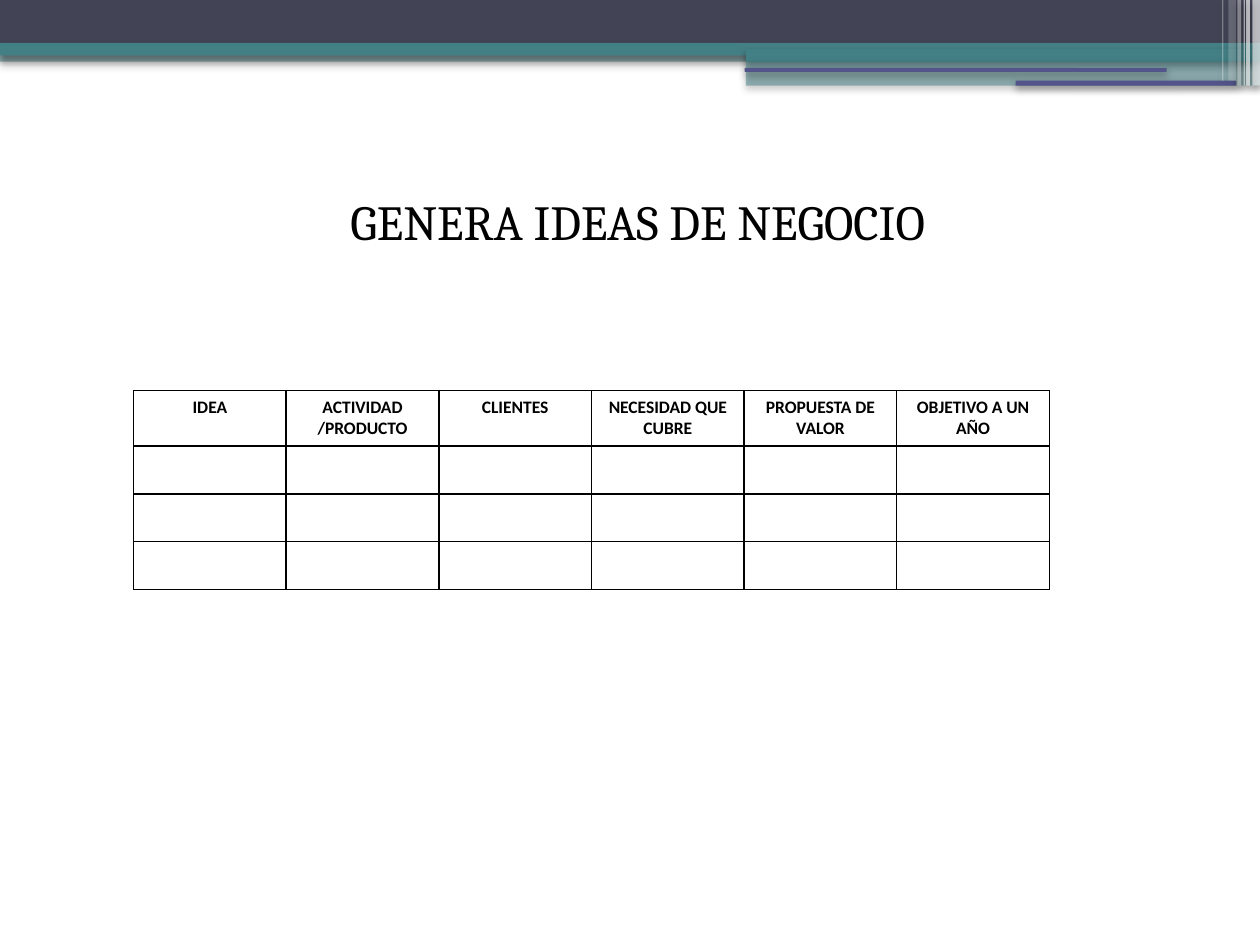
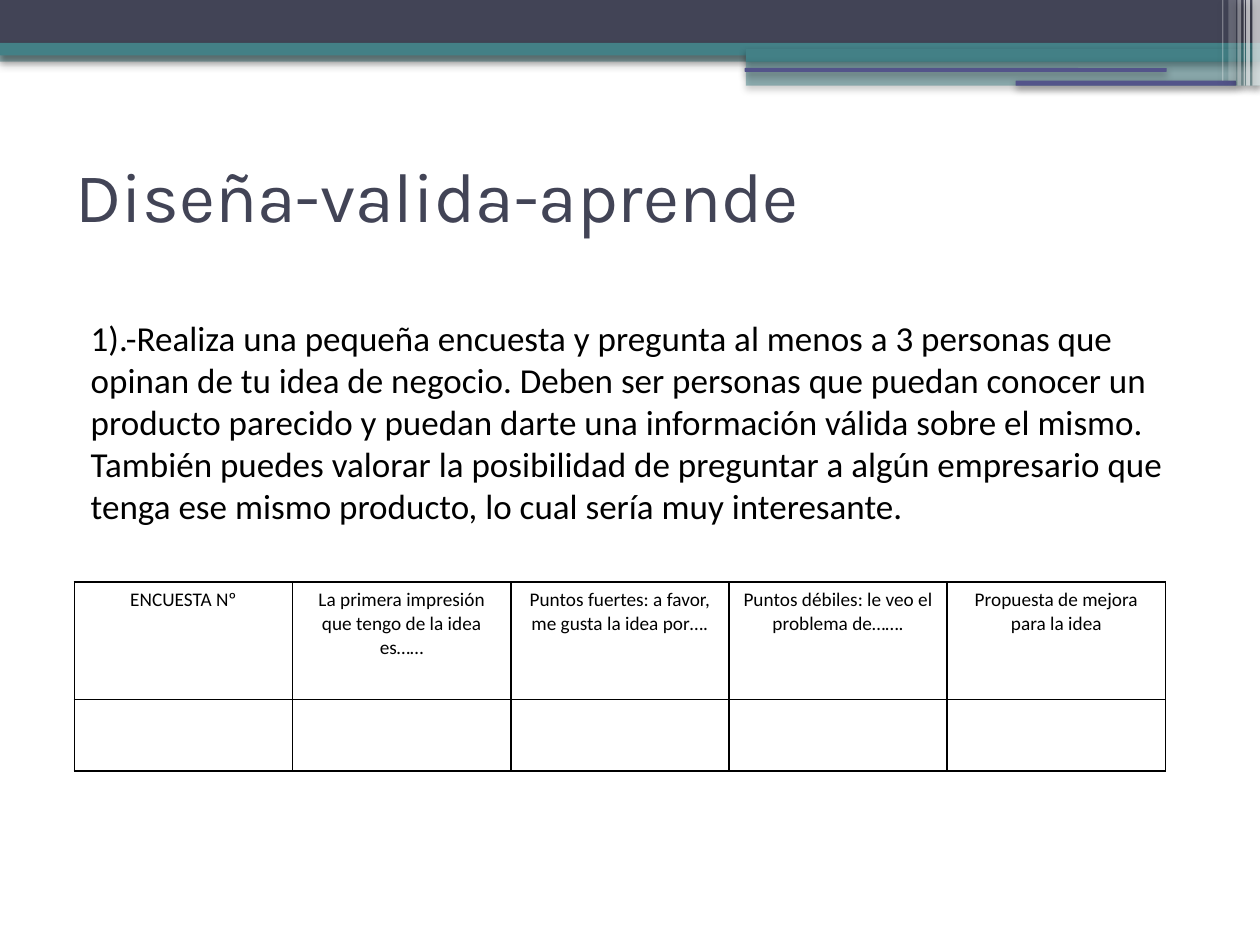
"""Build two worksheet slides on generating and validating business ideas."""
from lxml import etree
from pptx import Presentation, oxml, util as u
from pptx.dml.color import RGBColor
from pptx.enum import shapes, text
from pptx.oxml import ns

COLORS = {"navy": "424456", "teal": "438086", "violet": "53548A",
          "white": "FFFFFF", "black": "000000"}
W, H = 10, 7.5
MARGIN = 0.05 * W
PANEL = 5.92

BANDS = [
    (0, 0.4, W, 0.09, "teal", 50),
    (0, 0, W, 0.34, "navy", 100),
    (0, 0.34, W, 0.1, "teal", 100),
    (PANEL, 0.39, W - PANEL, 0.1, "teal", 100),
    (PANEL, 0.48, W - PANEL, 0.2, "teal", 50),
]
RULES = [
    (5.91, 0.54, 3.35, 0.03, "violet", 100),
    (8.06, 0.64, 1.75, 0.04, "violet", 100),
]
STRIPES = [
    (9.94, 0, 0.06, 0.68, "white", 66),
    (9.89, 0, 0.03, 0.68, "white", 66),
    (9.87, 0, 0.01, 0.68, "white", 60),
    (9.82, 0, 0.03, 0.68, "white", 40),
    (9.75, 0, 0.06, 0.64, "white", 20),
    (9.7, 0, 0.01, 0.64, "white", 31),
]
SHADOW = (
    '<a:outerShdw %s blurRad="52070" dist="25400" dir="5400000" rotWithShape="0">'
    '<a:srgbClr val="%s"><a:alpha val="40000"/></a:srgbClr></a:outerShdw>'
    % (ns.nsdecls("a"), COLORS["black"]))

SLIDES = [
    {
        "body": "GENERA IDEAS DE NEGOCIO",
        "body_top": 1.47, "body_height": 5.72,
        "body_font": ("Cambria", 28), "align": text.PP_ALIGN.CENTER,
        "heads": ["IDEA", "ACTIVIDAD\n/PRODUCTO", "CLIENTES",
                  "NECESIDAD QUE CUBRE", "PROPUESTA DE VALOR",
                  "OBJETIVO A UN AÑO"],
        "table_at": (1.06, 3.1), "table_width": 7.27,
        "rows": [0.44] + [0.38] * 3, "size": 10, "bold": True,
    },
    {
        "title": "Diseña-valida-aprende",
        "body": "1).-Realiza una pequeña encuesta y pregunta al menos a 3 "
                "personas que opinan de tu idea de negocio. Deben ser personas "
                "que puedan conocer un producto parecido y puedan darte una "
                "información válida sobre el mismo. También puedes valorar la "
                "posibilidad de preguntar a algún empresario que tenga ese "
                "mismo producto, lo cual sería muy interesante.",
        "body_top": 2.46, "body_height": 4.73,
        "body_font": ("Calibri", 20), "align": text.PP_ALIGN.LEFT,
        "heads": ["ENCUESTA Nº",
                  "La primera impresión que tengo de la idea es……",
                  "Puntos fuertes: a favor, me gusta la idea por….",
                  "Puntos débiles: le veo el problema de…….",
                  "Propuesta de mejora para la idea"],
        "table_at": (0.59, 4.62), "table_width": 8.66,
        "rows": [0.93, 0.57], "size": 11, "bold": False,
    },
]


def rgb(name):
    return RGBColor.from_string(COLORS[name])


def add_run(p, words, font, size, color, bold=False):
    r = p.add_run()
    r.text = words
    r.font.name, r.font.size, r.font.bold = font, u.Pt(size), bold
    r.font.color.rgb = rgb(color)


def place(sp, left, top, width, height):
    sp.left, sp.top = u.Inches(left), u.Inches(top)
    sp.width, sp.height = u.Inches(width), u.Inches(height)


def add_bar(s, kind, left, top, width, height, color, opacity):
    sp = s.shapes.add_shape(kind, *map(u.Inches, (left, top, width, height)))
    sp.fill.solid()
    sp.fill.fore_color.rgb = rgb(color)
    sp.line.fill.background()
    sp.shadow.inherit = False
    sp.element.xpath("./p:spPr/a:effectLst")[0].append(oxml.parse_xml(SHADOW))
    if opacity < 100:
        clr = sp.element.xpath("./p:spPr/a:solidFill/a:srgbClr")[0]
        etree.SubElement(clr, ns.qn("a:alpha"), val=str(opacity * 1000))
    return sp


def decorate_master(prs, s):
    rect, rounded = shapes.MSO_SHAPE.RECTANGLE, shapes.MSO_SHAPE.ROUNDED_RECTANGLE
    groups = [(rect, BANDS), (rounded, RULES), (rect, STRIPES)]
    bars = [add_bar(s, kind, *bar) for kind, group in groups for bar in group]
    for i, sp in enumerate(bars):
        sp.element.xpath(".//p:cNvPr")[0].set("id", str(100 + i))
        prs.slide_master.shapes.element.insert(2 + i, sp.element)


def fill_title(s, words):
    sp = s.shapes.title
    if not words:
        sp.element.getparent().remove(sp.element)
        return
    place(sp, MARGIN, 0.99, W - 2 * MARGIN, 1.1)
    tf = sp.text_frame
    tf.auto_size = text.MSO_AUTO_SIZE.NONE
    tf.vertical_anchor = text.MSO_ANCHOR.MIDDLE
    p = tf.paragraphs[0]
    p.alignment = text.PP_ALIGN.LEFT
    add_run(p, words, "Karla", 40, "navy")


def fill_body(s, page):
    sp = s.placeholders[1]
    place(sp, MARGIN, page["body_top"], W - 2 * MARGIN, page["body_height"])
    tf = sp.text_frame
    tf.auto_size = text.MSO_AUTO_SIZE.NONE
    p = tf.paragraphs[0]
    p.alignment, p.space_before = page["align"], u.Pt(3)
    pPr = p._p.get_or_add_pPr()
    pPr.set("marL", str(u.Inches(0.12)))
    pPr.set("indent", "0")
    etree.SubElement(pPr, ns.qn("a:buNone"))
    add_run(p, page["body"], *page["body_font"], "black")


def outline(cell):
    tcPr = cell._tc.get_or_add_tcPr()
    for i, side in enumerate(("lnL", "lnR", "lnT", "lnB")):
        tcPr.insert(i, oxml.parse_xml(
            '<a:%s %s w="%d"><a:solidFill><a:srgbClr val="%s"/></a:solidFill></a:%s>'
            % (side, ns.nsdecls("a"), u.Pt(0.96), COLORS["black"], side)))


def add_grid(s, page):
    heads, rows = page["heads"], page["rows"]
    left, top = page["table_at"]
    frame = s.shapes.add_table(
        len(rows), len(heads),
        *map(u.Inches, (left, top, page["table_width"], sum(rows))))
    table = frame.table
    table.first_row = table.horz_banding = False
    for column in table.columns:
        column.width = u.Inches(page["table_width"] / len(heads))
    for row, height in zip(table.rows, rows):
        row.height = u.Inches(height)
        for cell in row.cells:
            cell.fill.background()
            cell.margin_top = cell.margin_bottom = u.Inches(0.05 if row is None else 0.03)
            outline(cell)
    for cell, head in zip(table.rows[0].cells, heads):
        cell.margin_top = cell.margin_bottom = u.Inches(0.05)
        tf = cell.text_frame
        for i, line in enumerate(head.split("\n")):
            p = tf.add_paragraph() if i else tf.paragraphs[0]
            p.alignment = text.PP_ALIGN.CENTER
            add_run(p, line, "Calibri", page["size"], "black", page["bold"])


prs = Presentation()
prs.slide_width, prs.slide_height = u.Inches(W), u.Inches(H)
for n, page in enumerate(SLIDES):
    s = prs.slides.add_slide(prs.slide_layouts[1])
    if n == 0:
        decorate_master(prs, s)
    fill_title(s, page.get("title"))
    fill_body(s, page)
    add_grid(s, page)
prs.save("out.pptx")
